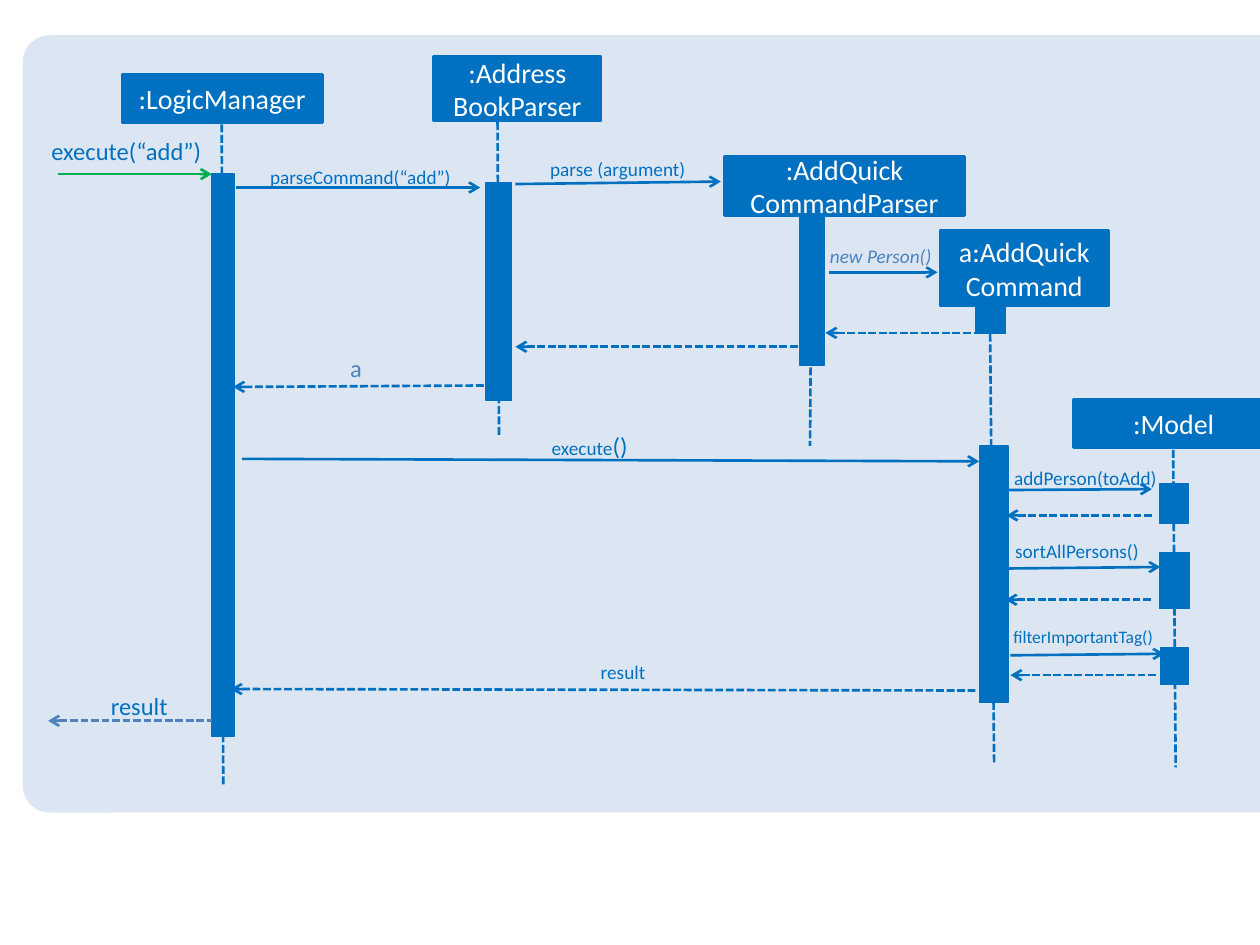
"""Sequence diagram: adding a person with the quick command."""
from dataclasses import dataclass
from typing import Any, Optional

import lxml.etree
import pptx
import pptx.dml.color
import pptx.enum.dml
import pptx.enum.shapes
import pptx.enum.text
import pptx.oxml.ns
import pptx.util

Cm, Pt = pptx.util.Cm, pptx.util.Pt
ALIGN = pptx.enum.text.PP_ALIGN
ANCHOR = pptx.enum.text.MSO_ANCHOR
SHAPE = pptx.enum.shapes.MSO_SHAPE
DASH = pptx.enum.dml.MSO_LINE
Box = tuple[float, float, float, float]  # left, top, width, height in cm
Line = tuple[float, float, float, float]  # x1, y1, x2, y2 in cm


@dataclass(frozen=True)
class Theme:
    font: str = "Calibri"
    panel: str = "DCE6F2"
    main: str = "0070C0"
    accent: str = "4F81BD"
    entry: str = "00B050"
    inverse: str = "FFFFFF"
    head: float = 16
    large: float = 14
    small: float = 11
    tiny: float = 10
    stroke: float = 1.5
    thin: float = 0.75


THEME = Theme()


@dataclass(frozen=True)
class Lifeline:
    name: str
    head: Box
    stem: Line
    bars: tuple[Box, ...]


@dataclass(frozen=True)
class Label:
    box: Box
    runs: tuple[tuple[str, float], ...]
    color: str = THEME.main
    italic: Optional[bool] = None
    align: Any = ALIGN.RIGHT
    padded: bool = False


@dataclass(frozen=True)
class Message:
    line: Line
    label: Optional[Label] = None
    reply: bool = False
    color: str = THEME.main


LIFELINES = (
    Lifeline(":LogicManager", (2.46, 1.5, 4.04, 0.97), (4.47, 2.51, 4.5, 15.85),
             ((4.27, 3.51, 0.46, 11.33),)),
    Lifeline(":Address\nBookParser", (8.74, 1.14, 3.38, 1.3), (10.03, 2.46, 10.06, 8.79),
             ((9.8, 3.68, 0.51, 4.39),)),
    Lifeline(":AddQuick CommandParser", (14.61, 3.15, 4.83, 1.19), (16.36, 4.65, 16.33, 8.99),
             ((16.13, 4.37, 0.48, 3),)),
    Lifeline("a:AddQuick\vCommand", (18.95, 4.65, 3.4, 1.52), (19.96, 6.73, 20.04, 15.39),
             ((19.66, 6.2, 0.61, 0.53), (19.74, 8.99, 0.58, 5.18))),
    Lifeline(":Model", (21.64, 8.05, 4.04, 0.97), (23.65, 9.07, 23.7, 15.47),
             ((23.37, 9.75, 0.58, 0.81), (23.37, 11.15, 0.61, 1.12), (23.39, 13.06, 0.56, 0.74))),
)

MESSAGES = (
    Message((1.17, 3.51, 4.27, 3.51), color=THEME.entry,
            label=Label((0.1, 2.74, 3.96, 0.61), (("execute(“add”)", THEME.large),))),
    Message((4.75, 3.78, 9.68, 3.78),
            Label((4.34, 3.33, 4.75, 0.48), (("parseCommand(“add”)", THEME.small),))),
    Message((10.39, 3.71, 14.53, 3.66),
            Label((9.83, 3.18, 3.99, 0.48), (("parse (argument)", THEME.small),))),
    Message((16.71, 5.49, 18.9, 5.49),
            Label((16.48, 4.8, 2.79, 0.74), (("new Person()", THEME.small),),
                  THEME.accent, True, ALIGN.LEFT, True)),
    Message((16.64, 6.71, 19.63, 6.71), reply=True),
    Message((10.39, 6.99, 16.21, 6.99), reply=True),
    Message((4.7, 7.8, 9.91, 7.77), reply=True,
            label=Label((6.81, 6.99, 0.79, 0.86), (("a", THEME.large),),
                        THEME.accent, align=ALIGN.LEFT, padded=True)),
    Message((4.88, 9.25, 19.74, 9.3),
            Label((8.69, 8.69, 3.96, 0.61), (("execute", THEME.small), ("()", THEME.large)))),
    Message((20.12, 9.88, 23.22, 9.86),
            Label((19.56, 9.4, 3.76, 0.48), (("addPerson(toAdd)", THEME.small),))),
    Message((20.29, 10.39, 23.24, 10.39), reply=True),
    Message((20.32, 11.46, 23.39, 11.43),
            Label((19.18, 10.87, 3.78, 0.48), (("sortAllPersons()", THEME.small),))),
    Message((20.27, 12.09, 23.24, 12.09), reply=True),
    Message((20.37, 13.21, 23.47, 13.18),
            Label((19.38, 12.62, 3.86, 0.43), (("filterImportantTag()", THEME.tiny),))),
    Message((20.37, 13.61, 23.34, 13.61), reply=True),
    Message((4.65, 13.89, 19.66, 13.92), reply=True,
            label=Label((11.28, 13.31, 1.73, 0.48), (("result", THEME.small),))),
    Message((0.97, 14.53, 4.27, 14.53), reply=True, color=THEME.accent,
            label=Label((1.27, 13.94, 2.11, 0.61), (("result", THEME.large),))),
)


def rgb(color: str) -> pptx.dml.color.RGBColor:
    return pptx.dml.color.RGBColor.from_string(color)


def apply(target: Any, values: dict[str, Any]) -> None:
    for name, value in values.items():
        setattr(target, name, value)


def style_font(font: Any, size: float, color: str, italic: Optional[bool] = None) -> None:
    apply(font, {"name": THEME.font, "size": Pt(size), "italic": italic})
    font.color.rgb = rgb(color)


def add_block(s: Any, box: Box, color: str, stroke: float = 0, kind: Any = SHAPE.RECTANGLE) -> Any:
    sp = s.shapes.add_shape(kind, *map(Cm, box))
    sp.shadow.inherit = False
    sp.fill.solid()
    sp.fill.fore_color.rgb = rgb(color)
    if stroke:
        sp.line.color.rgb = rgb(color)
        sp.line.width = Pt(stroke)
    else:
        sp.line.fill.background()
    return sp


def add_line(s: Any, line: Line, color: str, dashed: bool, arrow: str = "") -> None:
    """Draw a line; arrow names the end that carries an arrowhead."""
    cn = s.shapes.add_connector(pptx.enum.shapes.MSO_CONNECTOR.STRAIGHT, *map(Cm, line))
    cn.line.color.rgb = rgb(color)
    cn.line.width = Pt(THEME.stroke)
    if dashed:
        cn.line.dash_style = DASH.SQUARE_DOT
    qn = pptx.oxml.ns.qn
    if arrow:
        lxml.etree.SubElement(cn.line._get_or_add_ln(), qn(f"a:{arrow}"), type="arrow")
    lxml.etree.SubElement(cn._element.spPr, qn("a:effectLst"))


def add_lifeline(s: Any, item: Lifeline) -> None:
    add_line(s, item.stem, THEME.main, dashed=True)
    for bar in item.bars:
        add_block(s, bar, THEME.main, THEME.thin)
    tf = add_block(s, item.head, THEME.main, THEME.stroke).text_frame
    apply(tf, {"text": item.name, "word_wrap": True, "vertical_anchor": ANCHOR.MIDDLE})
    for p in tf.paragraphs:
        p.alignment = ALIGN.CENTER
        for r in p.runs:
            style_font(r.font, THEME.head, THEME.inverse)


def add_label(s: Any, label: Label) -> None:
    tf = s.shapes.add_textbox(*map(Cm, label.box)).text_frame
    tf.word_wrap = True
    if not label.padded:
        apply(tf, {f"margin_{side}": 0 for side in ("left", "top", "right", "bottom")})
    p = tf.paragraphs[0]
    p.alignment = label.align
    for text, size in label.runs:
        r = p.add_run()
        r.text = text
        style_font(r.font, size, label.color, label.italic)


def main() -> None:
    prs = pptx.Presentation()
    apply(prs, {"slide_width": Cm(25.4), "slide_height": Cm(19.05)})
    s = prs.slides.add_slide(prs.slide_layouts[6])
    panel = add_block(s, (0.46, 0.71, 27.91, 15.67), THEME.panel, kind=SHAPE.ROUNDED_RECTANGLE)
    panel.adjustments[0] = 0.035
    for item in LIFELINES:
        add_lifeline(s, item)
    for msg in MESSAGES:
        add_line(s, msg.line, msg.color, msg.reply, "headEnd" if msg.reply else "tailEnd")
        if msg.label:
            add_label(s, msg.label)
    prs.save("out.pptx")


if __name__ == "__main__":
    main()
